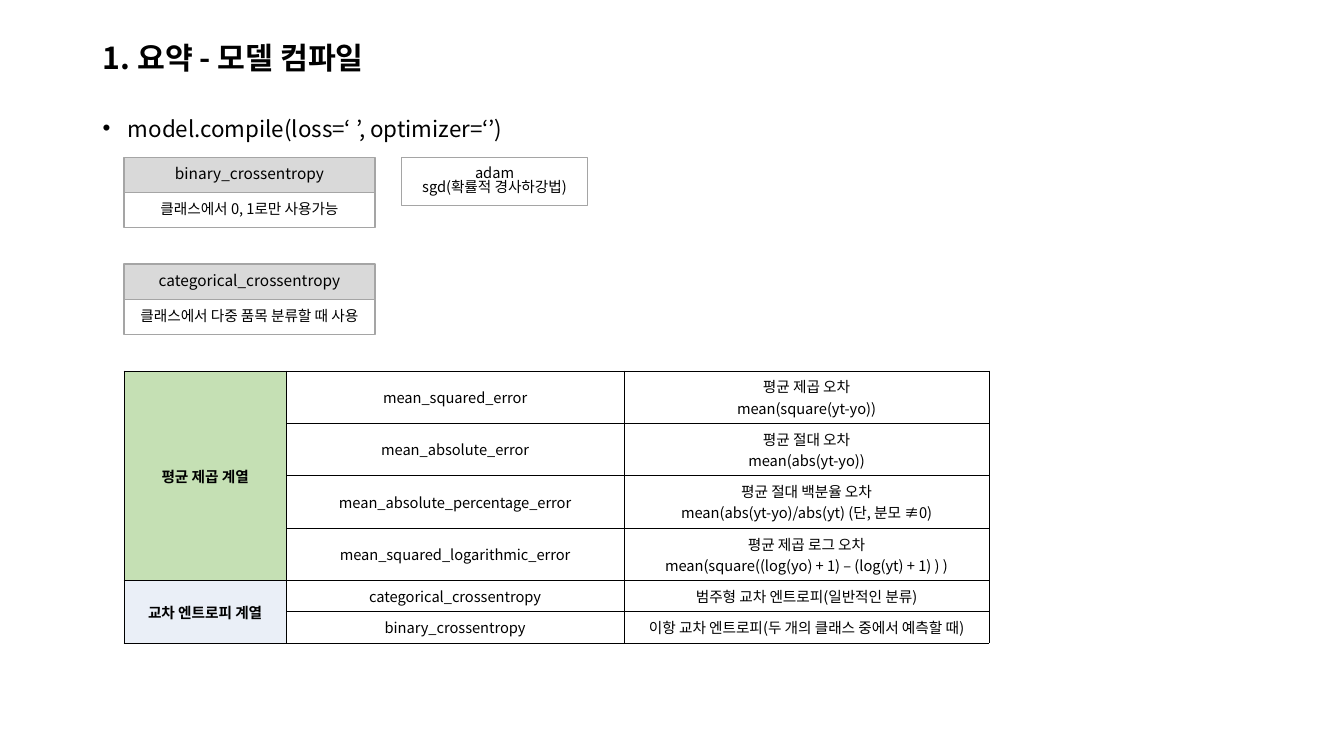
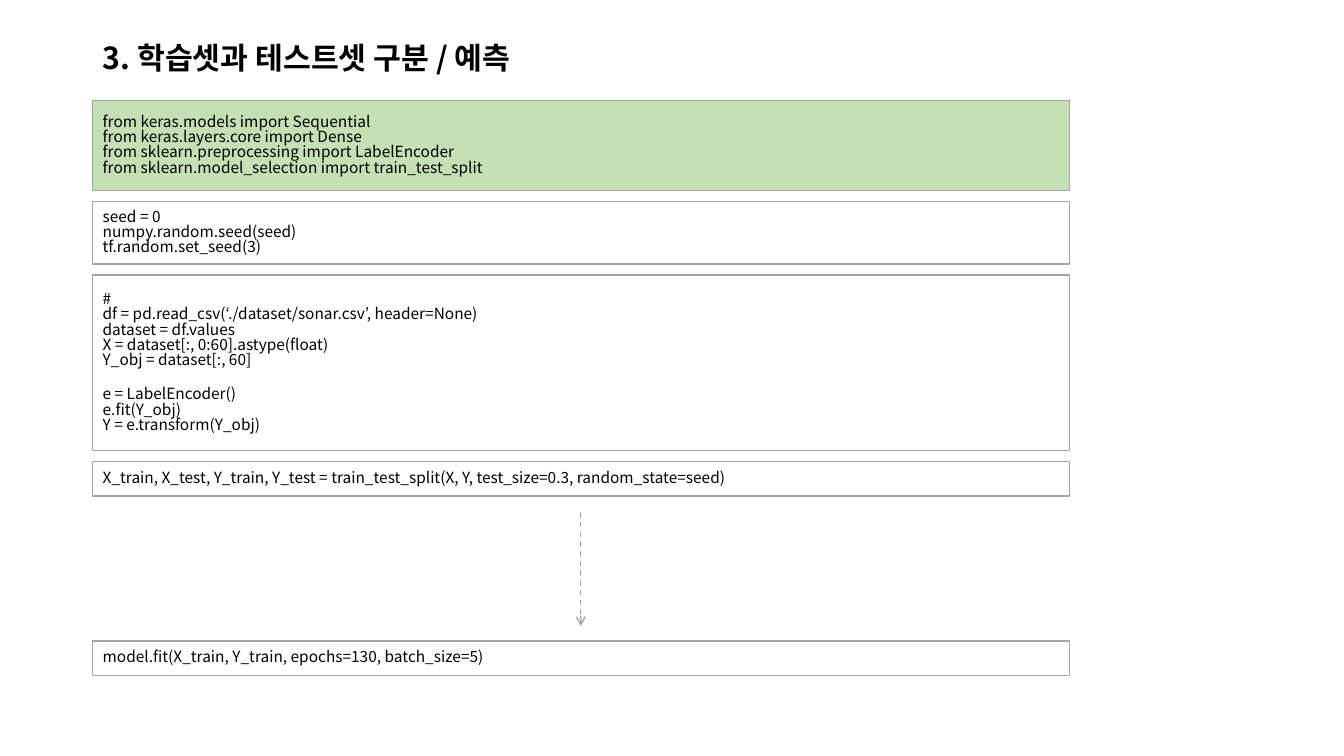
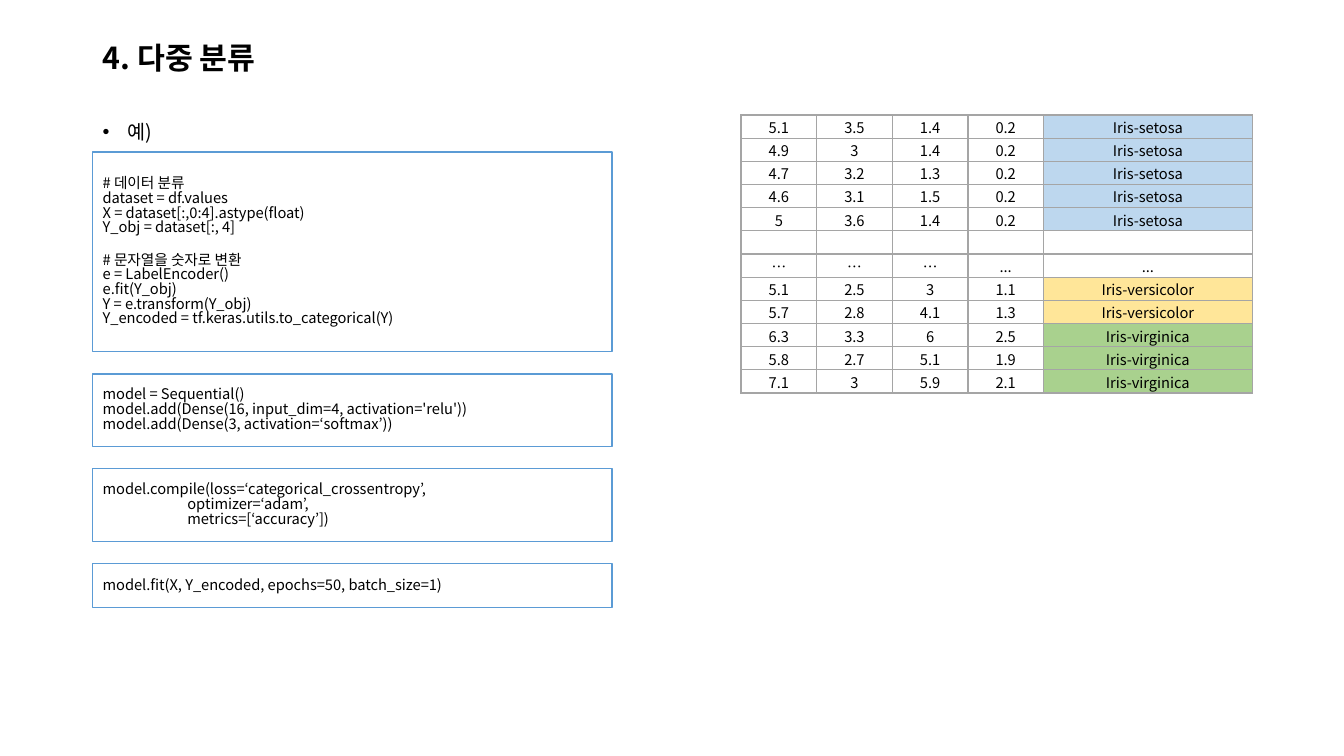
import pptx
import pptx.dml.color
import pptx.enum.dml
import pptx.enum.shapes
import pptx.enum.text
import pptx.oxml.ns
import pptx.util
from lxml import etree

Inches = pptx.util.Inches
Pt = pptx.util.Pt
ALIGN = pptx.enum.text.PP_ALIGN
ANCHOR = pptx.enum.text.MSO_ANCHOR

FONT = "Noto Sans CJK KR"
COLORS = {
    "text": "000000", "white": "FFFFFF", "gray": "D9D9D9", "outline": "A5A5A5",
    "arrow": "A6A6A6", "blue": "5B9BD5", "mint": "C5E0B4", "pale": "EAEFF7",
    "setosa": "BDD7EE", "versicolor": "FFE699", "virginica": "A9D18E",
}
LEFT = 0.92
CODE_SPACING = 0.83


def color(name):
    """Return the named colour of the palette."""
    return pptx.dml.color.RGBColor.from_string(COLORS[name])


def add_xml(parent, tag, **attributes):
    """Append a DrawingML element and return it."""
    return etree.SubElement(parent, pptx.oxml.ns.qn(tag), attributes)


class Deck:
    """Holds the presentation, its style and the current slide."""

    def __init__(self):
        """Start a widescreen presentation."""
        self.presentation = pptx.Presentation()
        self.presentation.slide_width = Inches(13.33)
        self.presentation.slide_height = Inches(7.5)
        self.slide = None

    def add_slide(self, title):
        """Add a blank slide with its title."""
        self.slide = self.presentation.slides.add_slide(self.presentation.slide_layouts[6])
        self.text_box(0.4, 0.38, title, 21.6, 0.9, bold=True, anchor=ANCHOR.MIDDLE)

    def add_lines(self, frame, lines, size, align=ALIGN.LEFT, spacing=None, bold=False):
        """Set lines of text; an empty line becomes a gap, a leading tab an indent."""
        paragraph = frame.paragraphs[0]
        gap = False
        for line in lines:
            if not line:
                gap = True
                continue
            if paragraph.runs:
                paragraph = frame.add_paragraph()
            paragraph.alignment = align
            if spacing:
                paragraph.line_spacing = spacing
            if gap:
                paragraph.space_before = Pt(round(size * 1.2, 1))
                gap = False
            if line.startswith("\t"):
                paragraph._p.get_or_add_pPr().set("marL", str(Inches(0.84)))
            run = paragraph.add_run()
            run.text = line.lstrip("\t")
            run.font.size = Pt(size)
            run.font.bold = bold
            run.font.name = FONT
            run.font.color.rgb = color("text")
            add_xml(run._r.get_or_add_rPr(), "a:ea", typeface=FONT)

    def text_box(self, top, height, text, size, spacing, bold=False, anchor=ANCHOR.TOP):
        """Add one line of text across the slide and return its paragraph."""
        shape = self.slide.shapes.add_textbox(
            Inches(LEFT), Inches(top), Inches(11.5), Inches(height))
        frame = shape.text_frame
        frame.word_wrap = True
        frame.vertical_anchor = anchor
        self.add_lines(frame, [text], size, spacing=spacing, bold=bold)
        return frame.paragraphs[0]

    def bullet(self, top, height, text, size):
        """Add a bulleted line."""
        paragraph = self.text_box(top, height, text, size, 0.8)
        properties = paragraph._p.get_or_add_pPr()
        properties.set("marL", str(Inches(0.25)))
        properties.set("indent", str(-Inches(0.25)))
        add_xml(properties, "a:buFont", typeface="Arial")
        add_xml(properties, "a:buChar", char="•")

    def box(self, left, top, width, height, lines, size, fill="white",
            outline="outline", align=ALIGN.CENTER, spacing=CODE_SPACING):
        """Add an outlined rectangle with text."""
        shape = self.slide.shapes.add_shape(
            pptx.enum.shapes.MSO_SHAPE.RECTANGLE,
            Inches(left), Inches(top), Inches(width), Inches(height))
        shape.shadow.inherit = False
        shape.fill.solid()
        shape.fill.fore_color.rgb = color(fill)
        shape.line.color.rgb = color(outline)
        shape.line.width = Pt(1)
        shape.text_frame.word_wrap = True
        shape.text_frame.vertical_anchor = ANCHOR.MIDDLE
        self.add_lines(shape.text_frame, lines, size, align, spacing)

    def loss_card(self, top, name, usage):
        """Add a loss name above its usage."""
        self.box(1.23, top, 2.49, 0.35, [name], 11, "gray")
        self.box(1.23, top + 0.35, 2.49, 0.35, [usage], 10.5)

    def code_stack(self, top, width, gap, size, outline, blocks):
        """Stack code boxes given as (height, fill, code)."""
        for height, fill, code in blocks:
            self.box(LEFT, top, width, height, code.split("\n"), size, fill, outline, ALIGN.LEFT)
            top += height + gap

    def down_arrow(self, x, top, bottom):
        """Add a dashed arrow pointing down."""
        connector = self.slide.shapes.add_connector(
            pptx.enum.shapes.MSO_CONNECTOR.STRAIGHT,
            Inches(x), Inches(top), Inches(x), Inches(bottom))
        connector.line.color.rgb = color("arrow")
        connector.line.width = Pt(1)
        connector.line.dash_style = pptx.enum.dml.MSO_LINE.DASH
        add_xml(connector.line._get_or_add_ln(), "a:tailEnd", type="arrow")
        add_xml(connector._element.spPr, "a:effectLst")

    def table(self, left, top, widths, heights):
        """Add an unstyled table and return it."""
        table = self.slide.shapes.add_table(
            len(heights), len(widths), Inches(left), Inches(top),
            Inches(sum(widths)), Inches(sum(heights))).table
        table.first_row = table.horz_banding = False
        for column, width in zip(table.columns, widths):
            column.width = Inches(width)
        for row, height in zip(table.rows, heights):
            row.height = Inches(height)
        return table

    def cell(self, cell, text, border, border_width, fill=None, bold=False, margins=None):
        """Fill one table cell and draw its borders."""
        cell.vertical_anchor = ANCHOR.MIDDLE
        if margins:
            cell.margin_left, cell.margin_top, cell.margin_right, cell.margin_bottom = map(
                Inches, margins)
        properties = cell._tc.get_or_add_tcPr()
        for side in ("a:lnL", "a:lnR", "a:lnT", "a:lnB"):
            line = add_xml(properties, side, w=str(Pt(border_width)))
            add_xml(add_xml(line, "a:solidFill"), "a:srgbClr", val=COLORS[border])
        if fill:
            cell.fill.solid()
            cell.fill.fore_color.rgb = color(fill)
        else:
            cell.fill.background()
        if text:
            self.add_lines(cell.text_frame, text.split("\n"), 10.5, ALIGN.CENTER, bold=bold)
        else:
            add_xml(cell.text_frame.paragraphs[0]._p, "a:endParaRPr", sz="1050")


LOSSES = [
    ("평균 제곱 계열", "mint", 0.52, [
        ("mean_squared_error", "평균 제곱 오차\nmean(square(yt-yo))"),
        ("mean_absolute_error", "평균 절대 오차\nmean(abs(yt-yo))"),
        ("mean_absolute_percentage_error",
         "평균 절대 백분율 오차\nmean(abs(yt-yo)/abs(yt) (단, 분모 ≢0)"),
        ("mean_squared_logarithmic_error",
         "평균 제곱 로그 오차\nmean(square((log(yo) + 1) – (log(yt) + 1) ) )"),
    ]),
    ("교차 엔트로피 계열", "pale", 0.31, [
        ("categorical_crossentropy", "범주형 교차 엔트로피(일반적인 분류)"),
        ("binary_crossentropy", "이항 교차 엔트로피(두 개의 클래스 중에서 예측할 때)"),
    ]),
]

SPLIT_CODE = [
    (0.89, "mint", """from keras.models import Sequential
from keras.layers.core import Dense
from sklearn.preprocessing import LabelEncoder
from sklearn.model_selection import train_test_split"""),
    (0.62, "white", """seed = 0
numpy.random.seed(seed)
tf.random.set_seed(3)"""),
    (1.74, "white", """#
df = pd.read_csv(‘./dataset/sonar.csv’, header=None)
dataset = df.values
X = dataset[:, 0:60].astype(float)
Y_obj = dataset[:, 60]

e = LabelEncoder()
e.fit(Y_obj)
Y = e.transform(Y_obj)"""),
    (0.34, "white", "X_train, X_test, Y_train, Y_test = "
     "train_test_split(X, Y, test_size=0.3, random_state=seed)"),
]
FIT_CODE = [(0.34, "white", "model.fit(X_train, Y_train, epochs=130, batch_size=5)")]

IRIS_CODE = [
    (1.98, "white", """# 데이터 분류
dataset = df.values
X = dataset[:,0:4].astype(float)
Y_obj = dataset[:, 4]

# 문자열을 숫자로 변환
e = LabelEncoder()
e.fit(Y_obj)
Y = e.transform(Y_obj)
Y_encoded = tf.keras.utils.to_categorical(Y)"""),
    (0.72, "white", """model = Sequential()
model.add(Dense(16, input_dim=4, activation='relu'))
model.add(Dense(3, activation=‘softmax’))"""),
    (0.72, "white", """model.compile(loss=‘categorical_crossentropy’,
\toptimizer=‘adam’,
\tmetrics=[‘accuracy’])"""),
    (0.44, "white", "model.fit(X, Y_encoded, epochs=50, batch_size=1)"),
]

IRIS_ROWS = [
    ("5.1", "3.5", "1.4", "0.2", "Iris-setosa"),
    ("4.9", "3", "1.4", "0.2", "Iris-setosa"),
    ("4.7", "3.2", "1.3", "0.2", "Iris-setosa"),
    ("4.6", "3.1", "1.5", "0.2", "Iris-setosa"),
    ("5", "3.6", "1.4", "0.2", "Iris-setosa"),
    ("", "", "", "", ""),
    ("…", "…", "…", "...", "..."),
    ("5.1", "2.5", "3", "1.1", "Iris-versicolor"),
    ("5.7", "2.8", "4.1", "1.3", "Iris-versicolor"),
    ("6.3", "3.3", "6", "2.5", "Iris-virginica"),
    ("5.8", "2.7", "5.1", "1.9", "Iris-virginica"),
    ("7.1", "3", "5.9", "2.1", "Iris-virginica"),
]


def compile_slide(deck):
    """Build the summary of losses and optimizers."""
    deck.add_slide("1. 요약 - 모델 컴파일")
    deck.bullet(1.14, 0.32, "model.compile(loss=‘ ’, optimizer=‘’)", 16)
    deck.loss_card(1.56, "binary_crossentropy", "클래스에서 0, 1로만 사용가능")
    deck.box(3.98, 1.56, 1.85, 0.48, ["adam", "sgd(확률적 경사하강법)"], 10.5, spacing=0.8)
    deck.loss_card(2.62, "categorical_crossentropy", "클래스에서 다중 품목 분류할 때 사용")

    heights = [height for _, _, height, losses in LOSSES for _ in losses]
    table = deck.table(1.23, 3.68, [1.61, 3.35, 3.62], heights)
    first = 0
    for family, fill, _, losses in LOSSES:
        last = first + len(losses) - 1
        for row, (name, meaning) in enumerate(losses, first):
            label = family if row == first else ""
            deck.cell(table.cell(row, 0), label, "text", 0.5, fill, bold=True)
            deck.cell(table.cell(row, 1), name, "text", 0.5, "white")
            deck.cell(table.cell(row, 2), meaning, "text", 0.5, "white")
        table.cell(first, 0).merge(table.cell(last, 0))
        first = last + 1


def split_slide(deck):
    """Build the train and test split code."""
    deck.add_slide("3. 학습셋과 테스트셋 구분 / 예측")
    deck.code_stack(1, 9.69, 0.11, 11, "outline", SPLIT_CODE)
    deck.code_stack(6.36, 9.69, 0.11, 11, "outline", FIT_CODE)
    deck.down_arrow(5.76, 5.08, 6.21)


def iris_slide(deck):
    """Build the multi-class example with its data."""
    deck.add_slide("4. 다중 분류")
    deck.bullet(1.19, 0.3, "예)", 14)
    deck.code_stack(1.51, 5.15, 0.22, 10.5, "blue", IRIS_CODE)
    table = deck.table(7.35, 1.14, [0.75] * 4 + [2.07], [0.23] * len(IRIS_ROWS))
    for row, values in enumerate(IRIS_ROWS):
        for column, value in enumerate(values):
            species = value.removeprefix("Iris-")
            fill = species if species in COLORS else None
            deck.cell(table.cell(row, column), value, "outline", 1, fill,
                      margins=(0.01, 0.01, 0.01, 0))


deck = Deck()
compile_slide(deck)
split_slide(deck)
iris_slide(deck)
deck.presentation.save("out.pptx")
